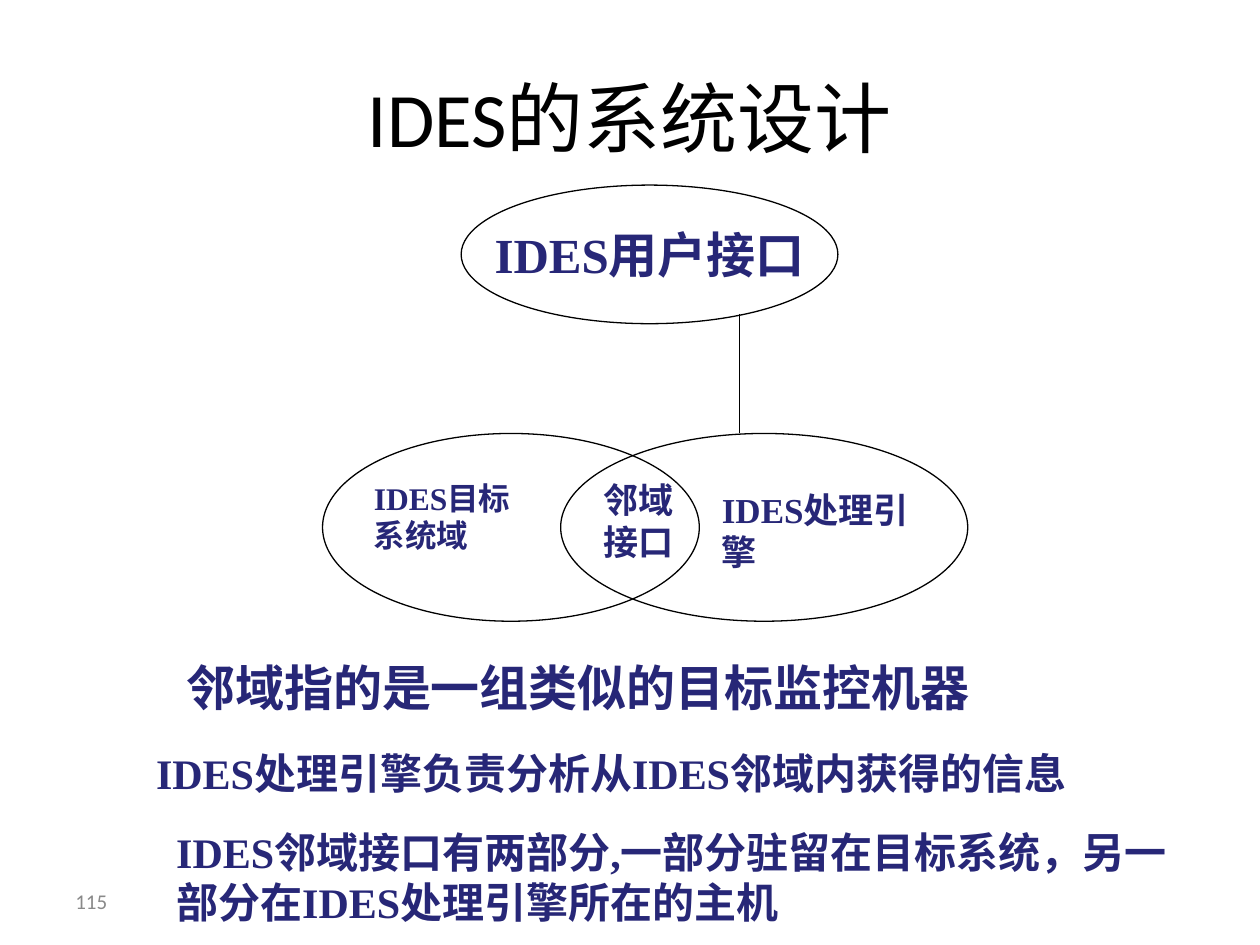
"""Build the IDES system design slide."""
from pptx import Presentation
from pptx.dml.color import RGBColor
from pptx.enum.shapes import MSO_CONNECTOR, MSO_SHAPE
from pptx.enum.text import MSO_ANCHOR, MSO_AUTO_SIZE, PP_ALIGN
from pptx.oxml.ns import qn
from pptx.util import Pt
from lxml import etree

STRAIGHT, OVAL = MSO_CONNECTOR.STRAIGHT, MSO_SHAPE.OVAL
TOP, MIDDLE = MSO_ANCHOR.TOP, MSO_ANCHOR.MIDDLE
LEFT, CENTER = PP_ALIGN.LEFT, PP_ALIGN.CENTER
GROW = MSO_AUTO_SIZE.SHAPE_TO_FIT_TEXT

BLACK = RGBColor(0x00, 0x00, 0x00)
NAVY = RGBColor(0x27, 0x27, 0x77)
GRAY = RGBColor(0x89, 0x89, 0x89)

TITLE = "IDES的系统设计"
TITLE_BOX = (36, 21.6, 648, 90)
PAGE_NUMBER = "115"
PAGE_BOX = (36, 500.4, 167.8, 28.8)

USER_INTERFACE = "IDES用户接口"
USER_OVAL = (263.5, 105.8, 215.3, 79.2)
ENGINE_OVAL = (320.4, 247.7, 232.6, 107.3)
TARGET_OVAL = (184.3, 247.7, 215.3, 107.3)
LINK = (422.6, 179.3, 422.6, 247.7)

LABELS = [
    ("IDES目标系统域", 18, (206.6, 270, 102.2, 50.4)),
    ("邻域接口", 20, (337.7, 270, 62.6, 55.4)),
    ("IDES处理引擎", 20, (405.4, 275.8, 130.3, 55.4)),
    ("邻域指的是一组类似的目标监控机器", 28, (99.4, 372.2, 583.9, 41)),
    ("IDES处理引擎负责分析从IDES邻域内获得的信息", 24, (82.1, 423.4, 578.2, 36)),
    ("IDES邻域接口有两部分,一部分驻留在目标系统，另一部分在IDES处理引擎所在的主机",
     24, (93.6, 468.7, 583.9, 64.8)),
]


def points(values):
    return [Pt(v) for v in values]


def write(shape, text, size, font="Times New Roman", color=NAVY, bold=True,
          align=LEFT, anchor=TOP, before=0, wrap=True):
    tf = shape.text_frame
    tf.word_wrap = wrap
    tf.vertical_anchor = anchor
    p = tf.paragraphs[0]
    p.alignment = align
    p.space_before = Pt(before)
    r = p.add_run()
    r.text = text
    r.font.name = font
    r.font.size = Pt(size)
    r.font.bold = bold
    r.font.color.rgb = color


def add_oval(s, box):
    sp = s.shapes.add_shape(OVAL, *points(box))
    sp.shadow.inherit = False
    sp.fill.background()
    sp.line.color.rgb = BLACK
    sp.line.width = Pt(0.75)
    return sp


def main():
    prs = Presentation()
    prs.slide_width, prs.slide_height = Pt(720), Pt(540)
    s = prs.slides.add_slide(prs.slide_layouts[5])

    title = s.shapes.title
    title.left, title.top, title.width, title.height = points(TITLE_BOX)
    write(title, TITLE, 44, font="Calibri", color=BLACK, bold=False,
          align=CENTER, anchor=MIDDLE)

    page = s.shapes.add_textbox(*points(PAGE_BOX))
    write(page, PAGE_NUMBER, 12, font="Calibri", color=GRAY, bold=False, anchor=MIDDLE)

    user = add_oval(s, USER_OVAL)
    write(user, USER_INTERFACE, 28, align=CENTER, anchor=MIDDLE, before=7, wrap=False)
    for box in (ENGINE_OVAL, TARGET_OVAL):
        add_oval(s, box)

    link = s.shapes.add_connector(STRAIGHT, *points(LINK))
    link.line.color.rgb = BLACK
    link.line.width = Pt(0.75)
    etree.SubElement(link.element.spPr, qn("a:effectLst"))

    for text, size, box in LABELS:
        label = s.shapes.add_textbox(*points(box))
        write(label, text, size, before=size * 0.625)
        label.text_frame.auto_size = GROW

    prs.save("out.pptx")


if __name__ == "__main__":
    main()
